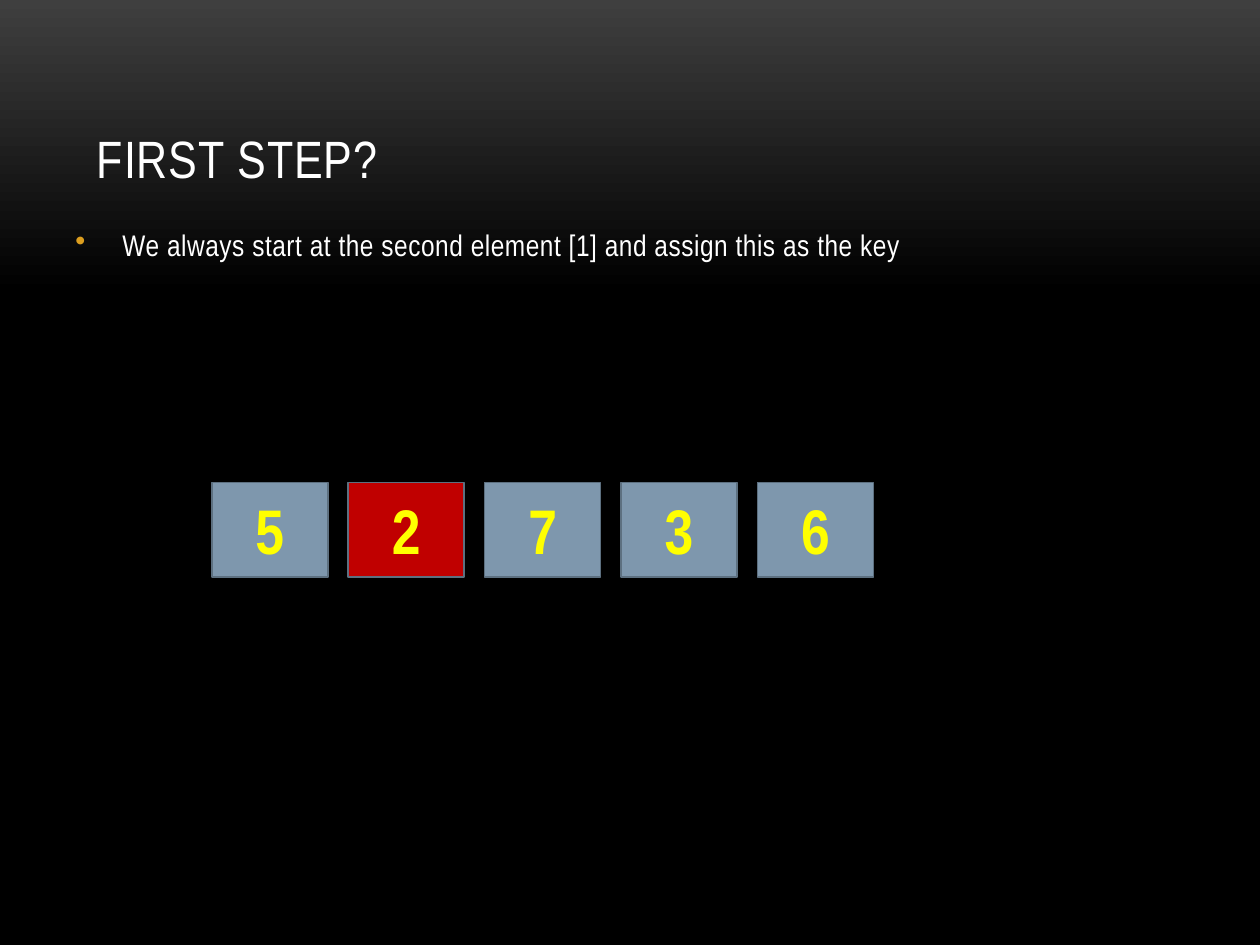
from lxml import etree
from pptx import Presentation
from pptx.dml.color import RGBColor
from pptx.enum.shapes import MSO_SHAPE
from pptx.enum.text import MSO_ANCHOR, MSO_AUTO_SIZE, PP_ALIGN
from pptx.oxml.ns import qn
from pptx.util import Cm, Pt

HEADING = "FIRST STEP?"
EXPLANATION = "We always start at the second element [1] and assign this as the key"
ELEMENTS = [5, 2, 7, 3, 6]
KEY_INDEX = 1

FONT = "Arial Narrow"
WHITE = RGBColor(0xFF, 0xFF, 0xFF)
YELLOW = RGBColor(0xFF, 0xFF, 0x00)
RED = RGBColor(0xC0, 0x00, 0x00)
STEEL = RGBColor(0x7E, 0x97, 0xAD)
EDGE = RGBColor(0x5D, 0x70, 0x80)
CHARCOAL = RGBColor(0x3F, 0x3F, 0x3F)
BLACK = RGBColor(0x00, 0x00, 0x00)
BULLET_COLOR = "DC9E1F"

RECTANGLE = MSO_SHAPE.RECTANGLE
LEFT, CENTER = PP_ALIGN.LEFT, PP_ALIGN.CENTER
TOP, MIDDLE, BOTTOM = MSO_ANCHOR.TOP, MSO_ANCHOR.MIDDLE, MSO_ANCHOR.BOTTOM
NO_AUTOFIT = MSO_AUTO_SIZE.NONE

CELL_LEFT, CELL_TOP = Cm(4.27), Cm(9.73)
CELL_WIDTH, CELL_HEIGHT = Cm(2.34), Cm(1.9)
CELL_PITCH = Cm(2.75)


def write(shape, text, size, color, align, anchor, bold=False, spacing=0):
    """Put one formatted paragraph into a shape and return it."""
    frame = shape.text_frame
    frame.word_wrap = True
    frame.auto_size = NO_AUTOFIT
    frame.vertical_anchor = anchor
    paragraph = frame.paragraphs[0]
    paragraph.text = text
    paragraph.alignment = align
    font = paragraph.font
    font.name, font.size, font.bold = FONT, Pt(size), bold
    font.color.rgb = color
    if spacing:
        paragraph.runs[0].font._element.set("spc", str(round(spacing * 100)))
    return paragraph


def add_bullet(paragraph, indent):
    """Give a paragraph a coloured bullet with a hanging indent."""
    properties = paragraph._p.get_or_add_pPr()
    properties.set("marL", str(indent))
    properties.set("indent", str(-indent))
    bullet_color = etree.Element(qn("a:buClr"))
    etree.SubElement(bullet_color, qn("a:srgbClr"), val=BULLET_COLOR)
    bullet = etree.Element(qn("a:buChar"), char="•")
    defaults = properties.find(qn("a:defRPr"))
    defaults.addprevious(bullet_color)
    defaults.addprevious(bullet)


def paint_background(slide):
    """Fade the background from charcoal at the top to black."""
    fill = slide.background.fill
    fill.gradient()
    fill.gradient_angle = 270
    for stop, color, position in zip(fill.gradient_stops, (CHARCOAL, BLACK), (0, 0.31)):
        stop.color.rgb = color
        stop.position = position


def add_element(slide, index, value):
    """Draw one array element, with the key in red."""
    cell = slide.shapes.add_shape(RECTANGLE, CELL_LEFT + index * CELL_PITCH,
                                  CELL_TOP, CELL_WIDTH, CELL_HEIGHT)
    cell.shadow.inherit = False
    cell.fill.solid()
    cell.fill.fore_color.rgb = RED if index == KEY_INDEX else STEEL
    cell.line.color.rgb = EDGE
    cell.line.width = Pt(0.85)
    write(cell, str(value), 36, YELLOW, CENTER, MIDDLE, bold=True)


presentation = Presentation()
presentation.slide_width, presentation.slide_height = Cm(25.4), Cm(19.05)
slide = presentation.slides.add_slide(presentation.slide_layouts[5])
paint_background(slide)

heading = slide.shapes.title
heading.left, heading.top, heading.width, heading.height = Cm(1.7), Cm(0.76), Cm(22.02), Cm(3.18)
write(heading, HEADING, 30, WHITE, LEFT, BOTTOM, spacing=0.5)

explanation = slide.shapes.add_textbox(Cm(1.27), Cm(4.45), Cm(22.86), Cm(1.9))
key_rule = write(explanation, EXPLANATION, 17, WHITE, LEFT, TOP, spacing=0.3)
key_rule.space_before, key_rule.space_after = Pt(3.4), Pt(6)
add_bullet(key_rule, Cm(0.95))

for index, value in enumerate(ELEMENTS):
    add_element(slide, index, value)

presentation.save("out.pptx")
